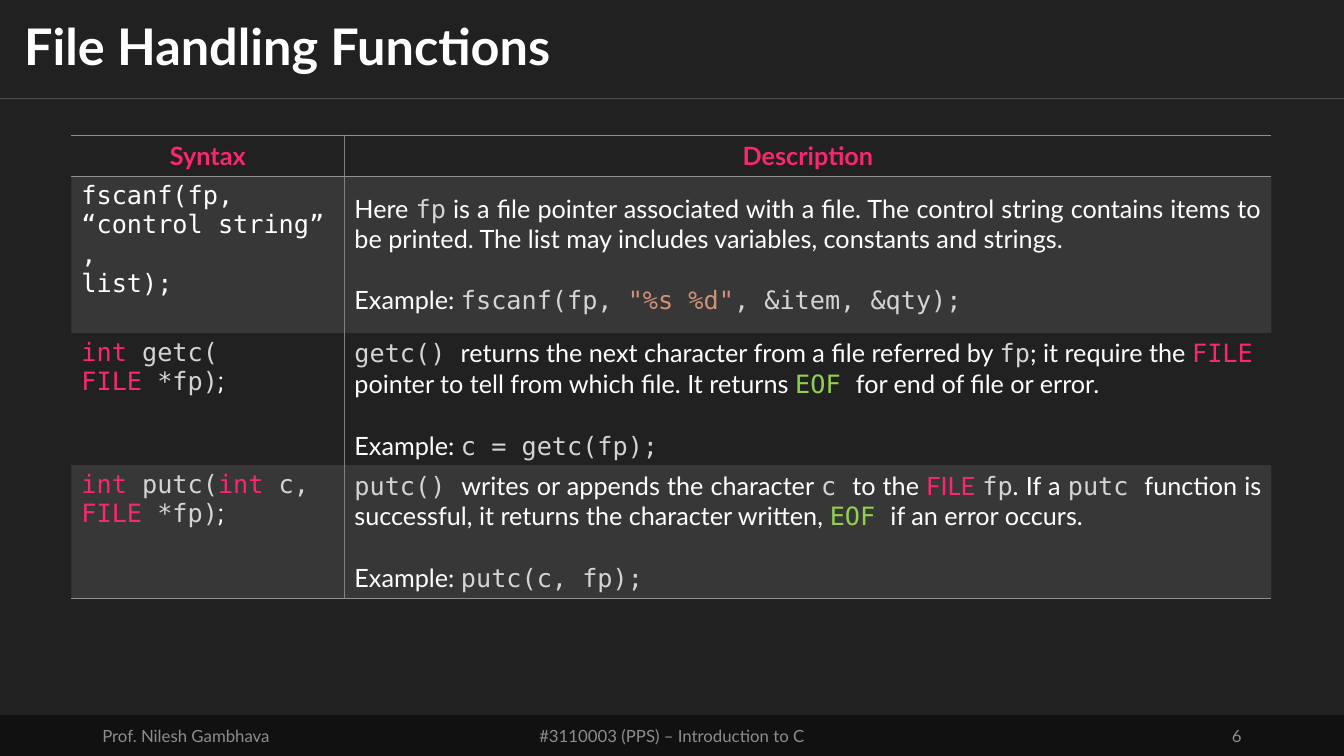
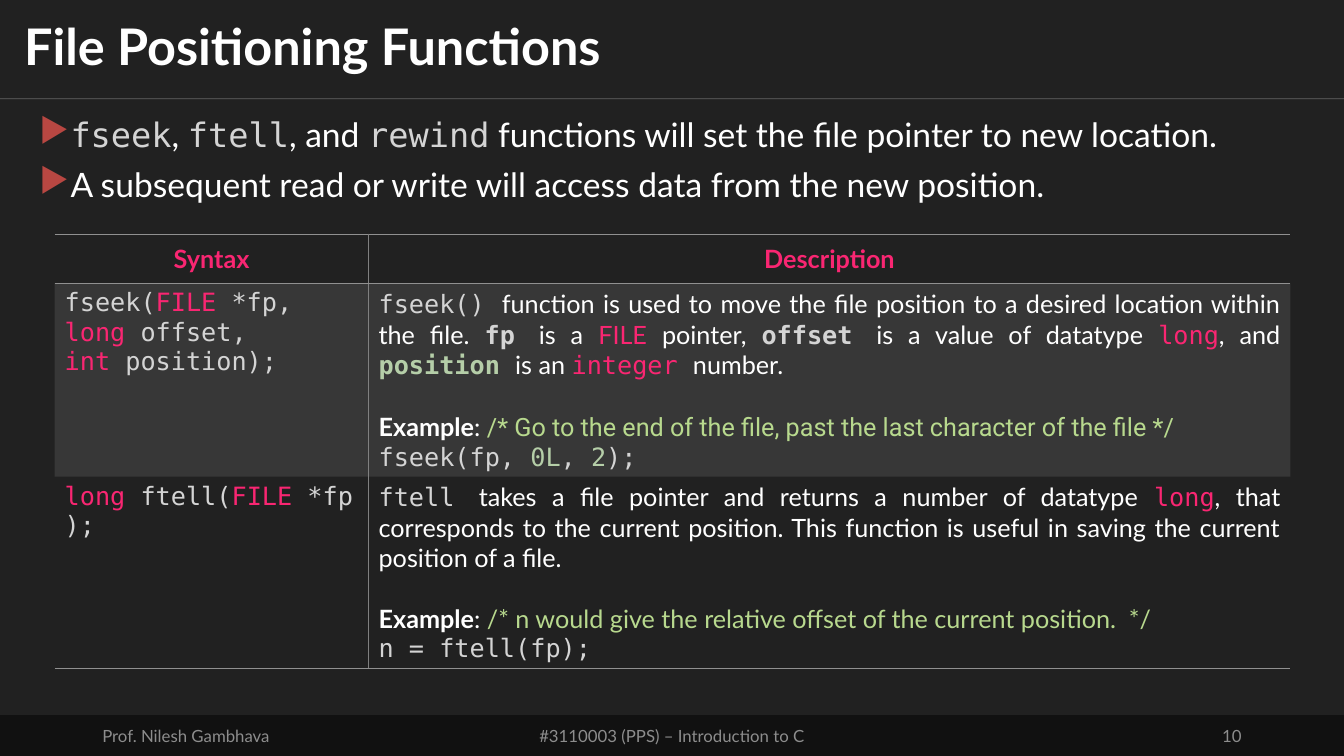
from lxml import etree
from pptx import Presentation
from pptx.dml.color import RGBColor
from pptx.enum.shapes import MSO_CONNECTOR, MSO_SHAPE
from pptx.enum.text import MSO_ANCHOR, PP_ALIGN
from pptx.oxml.ns import qn
from pptx.util import Pt

LEFT, CENTER, RIGHT, JUSTIFY = PP_ALIGN.LEFT, PP_ALIGN.CENTER, PP_ALIGN.RIGHT, PP_ALIGN.JUSTIFY
TOP, MIDDLE = MSO_ANCHOR.TOP, MSO_ANCHOR.MIDDLE
STRAIGHT = MSO_CONNECTOR.STRAIGHT
RECTANGLE = MSO_SHAPE.RECTANGLE

EMU_PER_PX = 9525
SLIDE_W, SLIDE_H = 1280, 720
TITLE_H = 94
BAND_TOP = 681
TITLE_ONLY = 5
NBSP = chr(160)

COLORS = {
    "background": "212121",
    "band": "111111",
    "white": "FFFFFF",
    "footer": "8D8D8D",
    "keyword": "F92672",
    "code": "D4D4D4",
    "string": "CE9178",
    "constant": "92D050",
    "number": "B5CEA8",
    "comment": "B8D98E",
    "bullet": "B84742",
    "rule": "909090",
    "divider": "808080",
}

SANS, MONO, ALT = "Lato", "DejaVu Sans Mono", "Roboto"

STYLES = {
    "text": (SANS, "white", False),
    "label": (SANS, "white", True),
    "heading": (SANS, "keyword", True),
    "footer": (SANS, "footer", False),
    "type": (SANS, "keyword", False),
    "note": (SANS, "comment", False),
    "comment": (ALT, "comment", False),
    "end": (ALT, "white", False),
    "plain": (MONO, "white", False),
    "code": (MONO, "code", False),
    "name": (MONO, "code", True),
    "key": (MONO, "keyword", False),
    "string": (MONO, "string", False),
    "constant": (MONO, "constant", False),
    "number": (MONO, "number", False),
    "argument": (MONO, "number", True),
}

HEADINGS = ("Syntax", "Description")

HANDLING_ROWS = [
    (
        [[("plain", "fscanf(fp,")], [("plain", "“control string”,")], [("plain", "list);")]],
        [
            [("text", "Here "), ("code", "fp"),
             ("text", " is a file pointer associated with a file. The control string contains "
                      "items to be printed. The list may includes variables, constants and strings.")],
            [("text", "Example: "), ("code", "fscanf(fp, "), ("string", '"%s %d"'),
             ("code", ", &item, &qty);")],
        ],
        JUSTIFY,
    ),
    (
        [[("key", "int "), ("code", "getc(")],
         [("key", "FILE"), ("code", " *fp)"), ("end", ";")]],
        [
            [("code", "getc() "), ("text", "returns the next character from a file referred by "),
             ("code", "fp"), ("text", "; it require the "), ("key", "FILE "),
             ("text", "pointer to tell from which file. It returns "), ("constant", "EOF "),
             ("text", "for end of file or error.")],
            [("text", "Example: "), ("code", "c = getc(fp);")],
        ],
        LEFT,
    ),
    (
        [[("key", "int "), ("code", "putc("), ("key", "int"), ("code", " c,")],
         [("key", "FILE"), ("code", " *fp)"), ("end", ";")]],
        [
            [("code", "putc() "), ("text", "writes or appends the character "), ("code", "c "),
             ("text", "to the "), ("type", "FILE "), ("code", "fp"), ("text", ". If a "),
             ("code", "putc "),
             ("text", "function is successful, it returns the character written, "),
             ("constant", "EOF "), ("text", "if an error occurs.")],
            [("text", "Example: "), ("code", "putc(c, fp);")],
        ],
        JUSTIFY,
    ),
]

POSITIONING_POINTS = [
    [("code", "fseek"), ("text", ", "), ("code", "ftell"), ("text", ", and "), ("code", "rewind"),
     ("text", " functions will set the file pointer to new location.")],
    [("text", "A subsequent read or write will access data from the new position.")],
]

POSITIONING_ROWS = [
    (
        [[("code", "fseek("), ("key", "FILE"), ("code", " *fp,")],
         [("key", "long"), ("code", " offset,")],
         [("key", "int"), ("code", " position);")]],
        [
            [("code", "fseek() "),
             ("text", "function is used to move the file position to a desired location "
                      "within the file. "),
             ("name", "fp "), ("text", "is a "), ("type", "FILE"), ("text", " pointer, "),
             ("name", "offset "), ("text", "is a value of datatype "), ("key", "long"),
             ("text", ", and "), ("argument", "position "), ("text", "is an "),
             ("key", "integer "), ("text", "number.")],
            [("label", "Example"), ("text", ": "),
             ("comment", "/* Go to the end of the file, past the last character of the file */")],
            [("code", "fseek(fp, "), ("number", "0L"), ("code", ", "), ("number", "2"),
             ("code", ");")],
        ],
        JUSTIFY,
    ),
    (
        [[("key", "long "), ("code", "ftell("), ("key", "FILE"), ("code", " *fp);")]],
        [
            [("code", "ftell "),
             ("text", "takes a file pointer and returns a number of datatype "), ("key", "long"),
             ("text", ", that corresponds to the current position. This function is useful "
                      "in saving the current position of a file.")],
            [("label", "Example"), ("text", ":"),
             ("note", " /* n would give the relative offset of the current position.  */")],
            [("code", "n = ftell(fp);")],
        ],
        JUSTIFY,
    ),
]


def px(*lengths):
    return [length * EMU_PER_PX for length in lengths]


def rgb(name):
    return RGBColor.from_string(COLORS[name])


def set_opacity(solid_fill, percent):
    etree.SubElement(solid_fill[0], qn("a:alpha")).set("val", str(percent * 1000))


def write_spans(paragraph, spans, size, align=LEFT):
    paragraph.alignment = align
    for style, words in spans:
        font_name, color, bold = STYLES[style]
        run = paragraph.add_run()
        run.text = words
        run.font.name = font_name
        run.font.size = Pt(size)
        run.font.bold = bold
        run.font.color.rgb = rgb(color)


def write_paragraphs(frame, paragraphs, size, align=LEFT):
    for index, spans in enumerate(paragraphs):
        paragraph = frame.paragraphs[0] if index == 0 else frame.add_paragraph()
        write_spans(paragraph, spans, size, align)


def add_footer(slide, left, width, words, align):
    frame = slide.shapes.add_textbox(*px(left, 682, width, 38)).text_frame
    frame.word_wrap = True
    frame.vertical_anchor = MIDDLE
    write_paragraphs(frame, [[("footer", words)]], 12, align)


def add_titled_slide(deck, heading, number):
    slide = deck.slides.add_slide(deck.slide_layouts[TITLE_ONLY])
    slide.background.fill.solid()
    slide.background.fill.fore_color.rgb = rgb("background")

    title_rule = slide.shapes.add_connector(STRAIGHT, *px(0, TITLE_H, SLIDE_W, TITLE_H))
    title_rule.line.color.rgb = rgb("white")
    title_rule.line.width = Pt(0.5)
    properties = title_rule.element.spPr
    set_opacity(properties.find(qn("a:ln")).find(qn("a:solidFill")), 30)
    etree.SubElement(properties, qn("a:effectLst"))

    band = slide.shapes.add_shape(RECTANGLE, *px(0, BAND_TOP, SLIDE_W, SLIDE_H - BAND_TOP))
    band.shadow.inherit = False
    band.fill.solid()
    band.fill.fore_color.rgb = rgb("band")
    band.line.fill.background()

    add_footer(slide, 88, 288, "Prof. Nilesh Gambhava", LEFT)
    add_footer(slide, 424, 432, "#3110003 (PPS) – Introduction to C", CENTER)
    add_footer(slide, 904, 288, str(number), RIGHT)

    title = slide.shapes.title
    title.left, title.top, title.width, title.height = px(0, 0, SLIDE_W, TITLE_H)
    frame = title.text_frame
    frame.vertical_anchor = MIDDLE
    frame.margin_left, frame.margin_right = px(23, 23)
    frame.margin_top, frame.margin_bottom = px(12, 12)
    write_paragraphs(frame, [[("label", heading)]], 36)
    frame.paragraphs[0].line_spacing = 0.9
    return slide


def add_bullets(slide, bounds, points):
    frame = slide.shapes.add_textbox(*px(*bounds)).text_frame
    frame.word_wrap = True
    write_paragraphs(frame, points, 24, JUSTIFY)
    indent = px(28)[0]
    for index, paragraph in enumerate(frame.paragraphs):
        paragraph.line_spacing = 0.9
        paragraph.space_before = Pt(10 if index else 0)
        properties = paragraph._p.get_or_add_pPr()
        properties.set("marL", str(indent))
        properties.set("indent", str(-indent))
        bullet_color = etree.SubElement(properties, qn("a:buClr"))
        etree.SubElement(bullet_color, qn("a:srgbClr")).set("val", COLORS["bullet"])
        etree.SubElement(properties, qn("a:buChar")).set("char", "▶")


def set_borders(cell, borders):
    properties = cell._tc.get_or_add_tcPr()
    for side in "LRTB":
        edge = etree.SubElement(properties, qn("a:ln" + side))
        if side in borders:
            edge.set("w", str(Pt(1)))
            fill = etree.SubElement(edge, qn("a:solidFill"))
            etree.SubElement(fill, qn("a:srgbClr")).set("val", COLORS[borders[side]])
        else:
            etree.SubElement(edge, qn("a:noFill"))


def format_cell(cell, row, column, last_row):
    borders = {"LR"[column == 0]: "divider"}
    if row <= 1:
        borders["T"] = "rule"
    if row in (0, last_row):
        borders["B"] = "rule"
    set_borders(cell, borders)
    if row % 2:
        cell.fill.solid()
        cell.fill.fore_color.rgb = rgb("rule")
        set_opacity(cell._tc.tcPr.find(qn("a:solidFill")), 20)
    else:
        cell.fill.background()
    cell.vertical_anchor = TOP if row and column == 0 else MIDDLE


def add_syntax_table(slide, left, top, widths, heights, rows):
    bounds = px(left, top, sum(widths), sum(heights))
    table = slide.shapes.add_table(len(heights), len(widths), *bounds).table
    table.first_row = table.horz_banding = False
    for column, width in zip(table.columns, px(*widths)):
        column.width = width
    for row, height in zip(table.rows, px(*heights)):
        row.height = height
    for column, heading in enumerate(HEADINGS):
        write_paragraphs(table.cell(0, column).text_frame, [[("heading", heading)]], 18, CENTER)
    for index, (syntax, description, align) in enumerate(rows, 1):
        unbroken = [[(style, words.replace(" ", NBSP)) for style, words in line] for line in syntax]
        write_paragraphs(table.cell(index, 0).text_frame, unbroken, 18)
        frame = table.cell(index, 1).text_frame
        write_paragraphs(frame, description, 18, align)
        frame.paragraphs[1].space_before = Pt(22)
    for row in range(len(heights)):
        for column in range(len(widths)):
            format_cell(table.cell(row, column), row, column, len(heights) - 1)


def main():
    deck = Presentation()
    deck.slide_width, deck.slide_height = px(SLIDE_W, SLIDE_H)

    handling = add_titled_slide(deck, "File Handling Functions", 6)
    add_syntax_table(handling, 68, 129, (260, 883), (39, 149, 126, 127), HANDLING_ROWS)

    positioning = add_titled_slide(deck, "File Positioning Functions", 10)
    add_bullets(positioning, (28, 108, 1225, 94), POSITIONING_POINTS)
    add_syntax_table(positioning, 52, 223, (299, 878), (47, 184, 182), POSITIONING_ROWS)

    deck.save("out.pptx")


if __name__ == "__main__":
    main()
